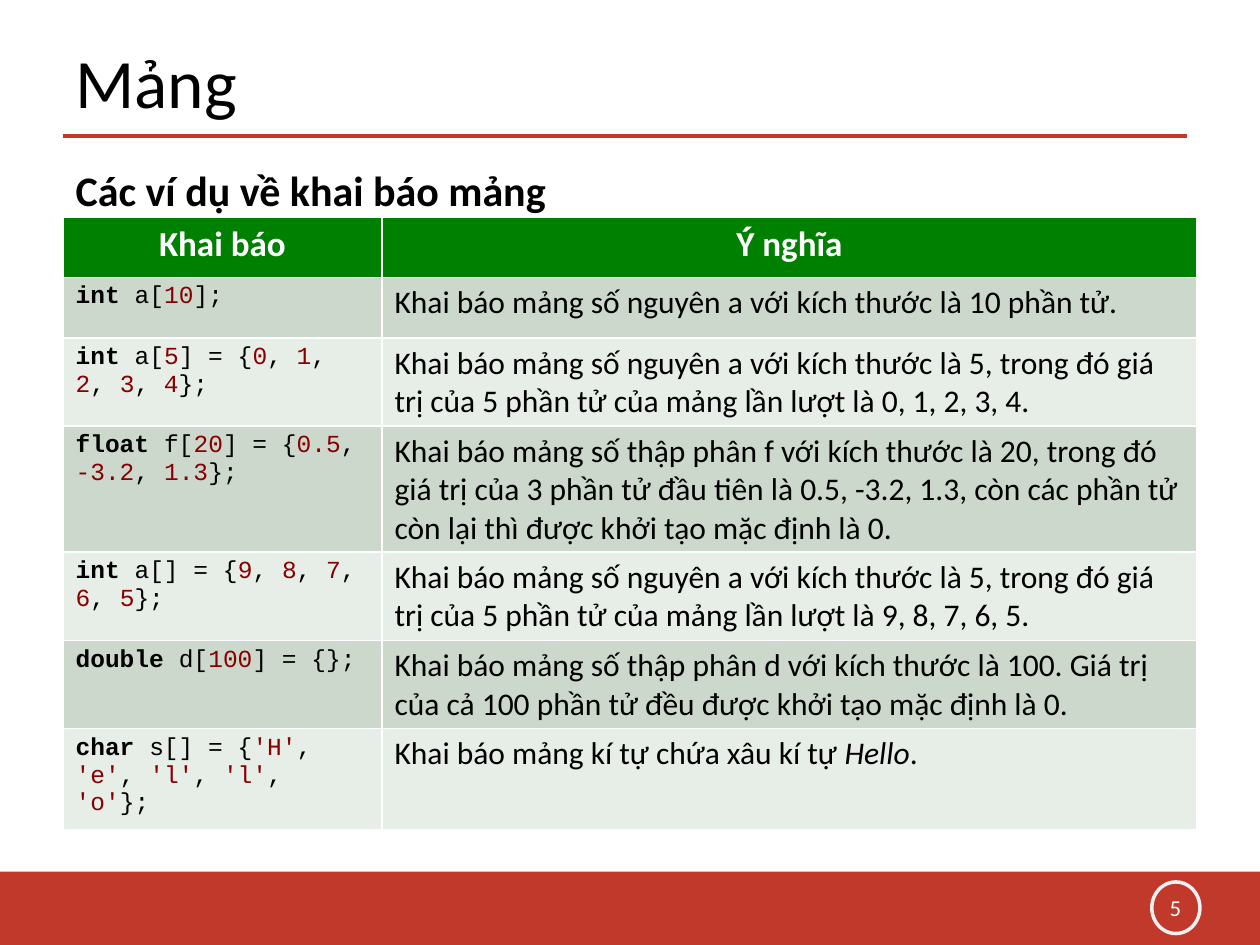
from itertools import cycle

from lxml.etree import SubElement
from pptx import Presentation
from pptx.dml.color import RGBColor
from pptx.enum.shapes import MSO_CONNECTOR, MSO_SHAPE
from pptx.enum.text import MSO_ANCHOR as ANCHOR, MSO_AUTO_SIZE as AUTO, PP_ALIGN as ALIGN
from pptx.oxml.ns import qn
from pptx.util import Cm, Pt

TITLE = "Mảng"
HEADING = "Các ví dụ về khai báo mảng"
PAGE = "5"
HEADERS = ["Khai báo", "Ý nghĩa"]
ROWS = [
    ("int| a[|10|];",
     "Khai báo mảng số nguyên a với kích thước là 10 phần tử."),
    ("int| a[|5|] = {|0|, |1|, |2|, |3|, |4|};",
     "Khai báo mảng số nguyên a với kích thước là 5, trong đó giá trị của "
     "5 phần tử của mảng lần lượt là 0, 1, 2, 3, 4."),
    ("float| f[|20|] = {|0.5|, |-3.2|, |1.3|};",
     "Khai báo mảng số thập phân f với kích thước là 20, trong đó giá trị của "
     "3 phần tử đầu tiên là 0.5, -3.2, 1.3, còn các phần tử còn lại thì được "
     "khởi tạo mặc định là 0."),
    ("int| a[] = {|9|, |8|, |7|, |6|, |5|};",
     "Khai báo mảng số nguyên a với kích thước là 5, trong đó giá trị của "
     "5 phần tử của mảng lần lượt là 9, 8, 7, 6, 5."),
    ("double| d[|100|] = {};",
     "Khai báo mảng số thập phân d với kích thước là 100. Giá trị của cả "
     "100 phần tử đều được khởi tạo mặc định là 0."),
    ("char| s[] = {|'H'|, |'e'|, |'l'|, |'l'|, |'o'|};",
     "Khai báo mảng kí tự chứa xâu kí tự |Hello|."),
]
COL_WIDTHS = [6.43, 16.43]
ROW_HEIGHT = 1.22
BLACK, WHITE, RED, LITERAL = "000000", "FFFFFF", "C0392B", "880000"
GREEN, BANDS = "008000", ["CCD8CC", "E7EDE7"]
SANS, MONO = "Calibri", "Courier New"


def rgb(value):
    return RGBColor.from_string(value)


def paint(target, color):
    target.fill.solid()
    target.fill.fore_color.rgb = rgb(color)


def add_run(p, text, size, color=BLACK, font=SANS, bold=False, italic=False):
    r = p.add_run()
    r.text = text
    r.font.name, r.font.size = font, Pt(size)
    r.font.color.rgb = rgb(color)
    r.font.bold, r.font.italic = bold, italic


def place(sp, left, top, width, height):
    sp.left, sp.top, sp.width, sp.height = map(Cm, (left, top, width, height))


def add_shape(kind, *box):
    sp = slide.shapes.add_shape(kind, *map(Cm, box))
    sp.shadow.inherit = False
    return sp


def write_code(p, code):
    keyword, *parts = code.split("|")
    add_run(p, keyword, 14, font=MONO, bold=True)
    for part, color in zip(parts, cycle([BLACK, LITERAL])):
        add_run(p, part, 14, color, MONO)


def write_meaning(p, meaning):
    for part, italic in zip(meaning.split("|"), cycle([False, True])):
        add_run(p, part, 18, italic=italic)


prs = Presentation()
prs.slide_width, prs.slide_height = Cm(25.4), Cm(19.05)
slide = prs.slides.add_slide(prs.slide_layouts[1])

rule = slide.shapes.add_connector(MSO_CONNECTOR.STRAIGHT, Cm(1.27), Cm(2.74), Cm(23.93), Cm(2.74))
rule.line.color.rgb = rgb(RED)
rule.line.width = Pt(2.25)
SubElement(rule.line._get_or_add_ln().getparent(), qn("a:effectLst"))

footer = add_shape(MSO_SHAPE.RECTANGLE, 0, 17.57, 25.4, 1.48)
paint(footer, RED)
footer.line.fill.background()

ring = add_shape(MSO_SHAPE.OVAL, 23.22, 17.78, 0.97, 1.04)
ring.fill.background()
ring.line.color.rgb = rgb("ECF0F1")
ring.line.width = Pt(2)

page = slide.shapes.add_textbox(Cm(23.06), Cm(17.89), Cm(1.27), Cm(0.81))
tf = page.text_frame
tf.word_wrap = True
tf.vertical_anchor = ANCHOR.MIDDLE
tf.paragraphs[0].alignment = ALIGN.CENTER
add_run(tf.paragraphs[0], PAGE, 13, "FAFCFC")

title = slide.shapes.title
place(title, 1.27, 0.76, 20.32, 1.75)
tf = title.text_frame
tf.auto_size = AUTO.NONE
tf.vertical_anchor = ANCHOR.MIDDLE
tf.paragraphs[0].alignment = ALIGN.LEFT
add_run(tf.paragraphs[0], TITLE, 39.6)

body = slide.placeholders[1]
place(body, 1.27, 3.18, 22.86, 1.19)
tf = body.text_frame
tf.auto_size = AUTO.NONE
p = tf.paragraphs[0]
add_run(p, HEADING, 24, bold=True)
pPr = p._p.get_or_add_pPr()
pPr.set("marL", "0")
pPr.set("indent", "0")
SubElement(pPr, qn("a:buNone"))

n_rows = len(ROWS) + 1
table = slide.shapes.add_table(n_rows, len(HEADERS), Cm(1.27), Cm(4.37),
                               Cm(sum(COL_WIDTHS)), Cm(ROW_HEIGHT * n_rows)).table
for column, width in zip(table.columns, COL_WIDTHS):
    column.width = Cm(width)
for row in table.rows:
    row.height = Cm(ROW_HEIGHT)

for col, header in enumerate(HEADERS):
    cell = table.cell(0, col)
    paint(cell, GREEN)
    p = cell.text_frame.paragraphs[0]
    p.alignment = ALIGN.CENTER
    add_run(p, header, 20, WHITE, bold=True)

for i, (texts, band) in enumerate(zip(ROWS, cycle(BANDS)), 1):
    for col, (write, text) in enumerate(zip((write_code, write_meaning), texts)):
        cell = table.cell(i, col)
        paint(cell, band)
        write(cell.text_frame.paragraphs[0], text)

prs.save("out.pptx")
